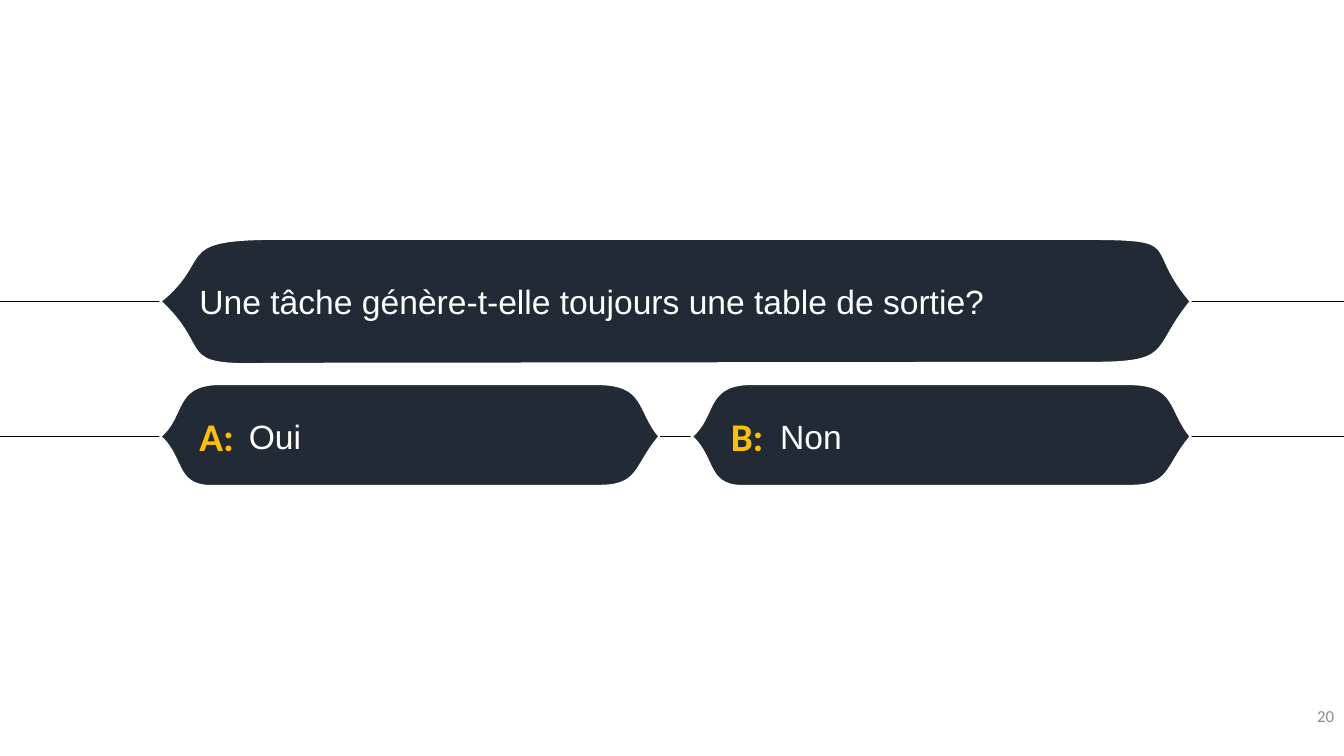
from dataclasses import dataclass

from lxml.etree import SubElement
from pptx import Presentation
from pptx.dml.color import RGBColor
from pptx.enum.shapes import MSO_CONNECTOR, MSO_SHAPE
from pptx.enum.text import MSO_ANCHOR, PP_ALIGN
from pptx.oxml.ns import qn
from pptx.slide import Slide
from pptx.util import Inches, Pt

PX = Inches(0.01)
SLIDE_WIDTH, SLIDE_HEIGHT = 1333, 750
COLORS = {
    "plate": "222A35",
    "edge": "FFFFFF",
    "wire": "000000",
    "text": "FFFFFF",
    "letter": "FFC000",
    "number": "8C8C8C",
}

Segment = tuple[tuple[int, int], ...]


@dataclass(frozen=True)
class Caption:
    text: str
    left: int
    top: int
    width: int
    height: int
    size: int = 24
    font: str = "Arial"
    color: str = "text"
    bold: bool = False
    anchor: MSO_ANCHOR = MSO_ANCHOR.MIDDLE
    align: PP_ALIGN = PP_ALIGN.LEFT
    filled: bool = False


@dataclass(frozen=True)
class Answer:
    letter: str
    text: str
    left: int
    letter_width: int
    letter_filled: bool


QUESTION_OUTLINE: tuple[Segment, ...] = (
    ((52, -42), (12, -61), (107, -62)),
    ((915, -62),),
    ((1020, -62), (974, -56), (1022, 0)),
    ((981, 50), (1008, 62), (913, 61)),
    ((107, 62),),
    ((11, 65), (53, 49), (0, 0)),
)
ANSWER_OUTLINE: tuple[Segment, ...] = (
    ((24, -20), (13, -51), (57, -52)),
    ((433, -52),),
    ((482, -52), (473, -26), (495, 0)),
    ((469, 31), (476, 50), (432, 49)),
    ((57, 49),),
    ((13, 52), (25, 23), (0, 0)),
)
PLATE_LEFT, QUESTION_MIDDLE, ANSWER_MIDDLE = 159, 299, 433
QUESTION = Caption(
    "Une tâche génère-t-elle toujours une table de sortie?", 188, 248, 967, 102
)
ANSWERS = (
    Answer("B:", "Non", PLATE_LEFT + 527, 54, False),
    Answer("A:", "Oui", PLATE_LEFT, 56, True),
)
PAGE_NUMBER = Caption(
    "20", 1033, 695, 300, 40, 12, "Calibri", "number",
    anchor=MSO_ANCHOR.TOP, align=PP_ALIGN.RIGHT,
)


def color(name: str) -> RGBColor:
    return RGBColor.from_string(COLORS[name])


def draw_wire(slide: Slide, middle: int) -> None:
    wire = slide.shapes.add_connector(
        MSO_CONNECTOR.STRAIGHT, 0, middle * PX, SLIDE_WIDTH * PX, middle * PX
    )
    wire.line.color.rgb = color("wire")
    wire.line.width = Pt(0.5)
    SubElement(wire._element.spPr, qn("a:effectLst"))


def draw_plate(
    slide: Slide, outline: tuple[Segment, ...], left: int, middle: int
) -> None:
    ends = [segment[-1] for segment in outline]
    highest = min(y for _, y in ends)
    builder = slide.shapes.build_freeform(left, middle, scale=PX)
    builder.add_line_segments([(left + x, middle + y) for x, y in ends], close=True)
    plate = builder.convert_to_shape()
    edges = list(plate._element.iter(qn("a:lnTo")))
    for edge, segment in zip(edges, outline):
        if len(segment) == 1:
            continue
        edge.tag = qn("a:cubicBezTo")
        for position, (x, y) in enumerate(segment[:-1]):
            control = SubElement(edge, qn("a:pt"), x=str(x), y=str(y - highest))
            edge.insert(position, control)
    plate.shadow.inherit = False
    plate.fill.solid()
    plate.fill.fore_color.rgb = color("plate")
    plate.line.color.rgb = color("edge")
    plate.line.width = Pt(1.5)


def draw_caption(slide: Slide, caption: Caption) -> None:
    bounds = [
        length * PX
        for length in (caption.left, caption.top, caption.width, caption.height)
    ]
    if caption.filled:
        box = slide.shapes.add_shape(MSO_SHAPE.RECTANGLE, *bounds)
        box.shadow.inherit = False
        box.fill.solid()
        box.fill.fore_color.rgb = color("plate")
        box.line.fill.background()
    else:
        box = slide.shapes.add_textbox(*bounds)
    frame = box.text_frame
    frame.word_wrap = True
    frame.vertical_anchor = caption.anchor
    frame.text = caption.text
    paragraph = frame.paragraphs[0]
    paragraph.alignment = caption.align
    font = paragraph.runs[0].font
    font.name = caption.font
    font.size = Pt(caption.size)
    font.bold = caption.bold
    font.color.rgb = color(caption.color)


def draw_answer(slide: Slide, answer: Answer) -> None:
    draw_plate(slide, ANSWER_OUTLINE, answer.left, ANSWER_MIDDLE)
    draw_caption(
        slide,
        Caption(
            answer.letter, answer.left + 29, 404, answer.letter_width, 57,
            28, "Calibri", "letter", True, MSO_ANCHOR.TOP,
            filled=answer.letter_filled,
        ),
    )
    draw_caption(slide, Caption(answer.text, answer.left + 78, 383, 370, 100))


def main() -> None:
    presentation = Presentation()
    presentation.slide_width = SLIDE_WIDTH * PX
    presentation.slide_height = SLIDE_HEIGHT * PX
    slide = presentation.slides.add_slide(presentation.slide_layouts[6])
    draw_caption(slide, PAGE_NUMBER)
    draw_wire(slide, ANSWER_MIDDLE)
    for answer in ANSWERS:
        draw_answer(slide, answer)
    draw_wire(slide, QUESTION_MIDDLE)
    draw_plate(slide, QUESTION_OUTLINE, PLATE_LEFT, QUESTION_MIDDLE)
    draw_caption(slide, QUESTION)
    presentation.save("out.pptx")


if __name__ == "__main__":
    main()
